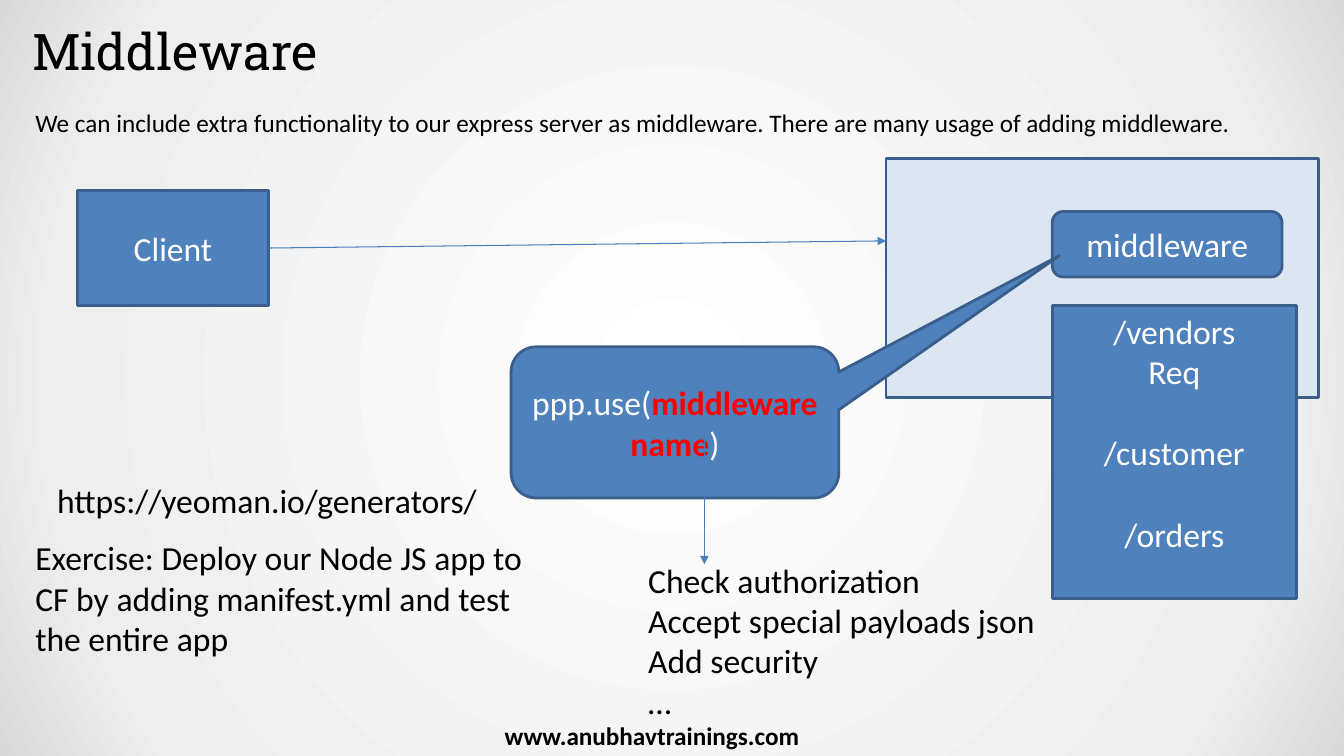
from lxml import etree
from pptx import Presentation
from pptx import util as u
from pptx.dml.color import RGBColor
from pptx.enum import shapes, text
from pptx.oxml import parse_xml
from pptx.oxml.ns import nsdecls, qn

# Content: paragraphs are lists of (words, colour, bold)
COLOURS = {"black": "000000", "white": "FFFFFF", "red": "FF0000", "blue": "4F81BD",
           "pale": "DCE6F2", "edge": "3A5F8C", "arrow": "4B7EBC"}
BACKDROP = [(0, "FFFFFF"), (81, "EEEEEE"), (100, "D9D9D9")]
TITLE = "Middleware"
USES = ["Check authorization", "Accept special payloads json", "Add security", "…"]
CALL = [("ppp.use(", "white", False), ("middlewarename", "red", True), (")", "white", False)]

# Places in centimetres: left, top, width, height
TITLE_PLACE = (0.48, 0.28, 30.48, 1.98)
USES_PLACE = (16.08, 13.97, 10.29, 4.37)
BLOCKS = {  # name: (preset, place, fill, lines)
    "server": ("RECTANGLE", (22.33, 3.99, 10.9, 6.02), "pale", []),
    "client": ("RECTANGLE", (1.96, 4.8, 4.8, 2.9), "blue", ["Client"]),
    "routes": ("RECTANGLE", (26.52, 7.7, 6.15, 7.39), "blue",
               ["/vendors", "Req", "/customer", "/orders"]),
    "middleware": ("ROUNDED_RECTANGLE", (26.52, 5.33, 5.79, 1.65), "blue", ["middleware"]),
    "call": ("ROUNDED_RECTANGULAR_CALLOUT", (12.88, 8.74, 8.26, 3.81), "blue", [CALL]),
}
NOTES = [  # words, place, size, bold, wrap
    ("www.anubhavtrainings.com", (12.47, 18.03, 9.86, 1.02), 18, True, True),
    ("We can include extra functionality to our express server as middleware. "
     "There are many usage of adding middleware.", (0.64, 2.59, 32.59, 1.02), 18, False, True),
    ("https://yeoman.io/generators/", (1.19, 11.96, 11.18, 1.27), 24, False, False),
    ("Exercise: Deploy our Node JS app to CF by adding manifest.yml and test the entire app",
     (0.64, 13.41, 13.23, 3.33), 24, False, True),
]
ARROWS = {"request": (6.76, 6.25, 22.33, 6.07), "purpose": (17.75, 11.05, 17.75, 14.22)}
CALLOUT_POINT = (1.173, -1.103, 0.167)
ROUTE_GAP = 29.3  # one line of 24 pt text


def colour(name):
    return RGBColor.from_string(COLOURS[name])


def lengths(place):
    return [u.Cm(value) for value in place]


def set_all(target, values):
    for name, value in values.items():
        setattr(target, name, value)


def move(box, place):
    set_all(box, dict(zip(("left", "top", "width", "height"), lengths(place))))


def write(box, lines, size=24, tint="black", bold=False, font="Calibri",
          align=text.PP_ALIGN.LEFT, anchor=text.MSO_ANCHOR.TOP, wrap=True):
    frame = box.text_frame
    set_all(frame, {"word_wrap": wrap, "vertical_anchor": anchor,
                    "auto_size": text.MSO_AUTO_SIZE.NONE})
    for index, line in enumerate(lines):
        para = frame.add_paragraph() if index else frame.paragraphs[0]
        set_all(para, {"alignment": align, "space_before": u.Pt(0)})
        for words, shade, heavy in [(line, tint, bold)] if isinstance(line, str) else line:
            span = para.add_run()
            span.text = words
            set_all(span.font, {"name": font, "size": u.Pt(size), "bold": heavy})
            span.font.color.rgb = colour(shade)
    return frame


def add_block(page, preset, place, fill, lines):
    box = page.shapes.add_shape(getattr(shapes.MSO_SHAPE, preset), *lengths(place))
    box.shadow.inherit = False
    box.fill.solid()
    box.fill.fore_color.rgb = colour(fill)
    box.line.color.rgb = colour("edge")
    box.line.width = u.Pt(2)
    write(box, lines, tint="white", align=text.PP_ALIGN.CENTER, anchor=text.MSO_ANCHOR.MIDDLE)
    return box


def add_arrow(page, ends):
    arrow = page.shapes.add_connector(shapes.MSO_CONNECTOR.STRAIGHT, *lengths(ends))
    arrow.line.color.rgb = colour("arrow")
    arrow.line.width = u.Pt(0.75)
    etree.SubElement(arrow.line._get_or_add_ln(), qn("a:tailEnd"), type="triangle")
    etree.SubElement(arrow._element.spPr, qn("a:effectLst"))
    return arrow


def paint_backdrop(page):
    stops = "".join(f'<a:gs pos="{at * 1000}"><a:srgbClr val="{shade}"/></a:gs>'
                    for at, shade in BACKDROP)
    page._element.cSld.insert(0, parse_xml(
        f'<p:bg {nsdecls("p", "a")}><p:bgPr><a:gradFill rotWithShape="1">'
        f'<a:gsLst>{stops}</a:gsLst><a:path path="circle">'
        '<a:fillToRect l="50000" t="50000" r="50000" b="50000"/></a:path>'
        '</a:gradFill><a:effectLst/></p:bgPr></p:bg>'))


def main():
    deck = Presentation()
    set_all(deck, {"slide_width": u.Cm(33.87), "slide_height": u.Cm(19.05)})
    page = deck.slides.add_slide(deck.slide_layouts[1])
    paint_backdrop(page)

    # Title and list of uses
    title, uses = page.shapes.title, page.placeholders[1]
    move(title, TITLE_PLACE)
    frame = write(title, [TITLE], 36, font="Roboto Slab", anchor=text.MSO_ANCHOR.MIDDLE)
    set_all(frame, {"margin_left": u.Cm(0.33), "margin_right": u.Cm(0.33),
                    "margin_top": u.Cm(0.18), "margin_bottom": u.Cm(0.18)})
    move(uses, USES_PLACE)
    for para in write(uses, USES).paragraphs:
        properties = para._p.get_or_add_pPr()
        properties.set("marL", "0")
        properties.set("indent", "0")
        etree.SubElement(properties, qn("a:buNone"))

    # Diagram blocks
    blocks = {name: add_block(page, *block) for name, block in BLOCKS.items()}
    for index, value in enumerate(CALLOUT_POINT):
        blocks["call"].adjustments[index] = value
    routes = blocks["routes"].text_frame
    routes.vertical_anchor = text.MSO_ANCHOR.TOP
    for para in routes.paragraphs[2:]:
        para.space_before = u.Pt(ROUTE_GAP)

    # Arrows
    arrows = {name: add_arrow(page, ends) for name, ends in ARROWS.items()}
    arrows["request"].begin_connect(blocks["client"], 3)

    # Free text
    for words, place, size, bold, wrap in NOTES:
        write(page.shapes.add_textbox(*lengths(place)), [words], size, bold=bold, wrap=wrap)

    deck.save("out.pptx")


if __name__ == "__main__":
    main()
